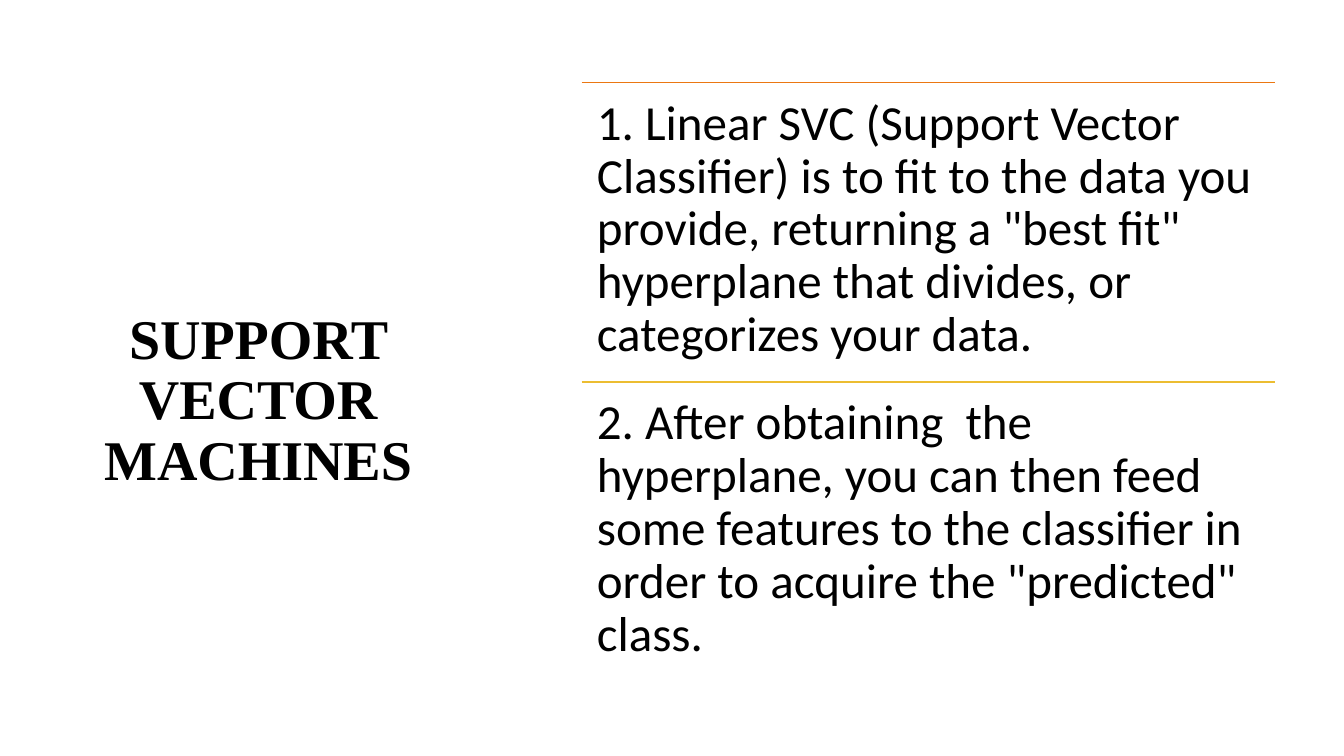
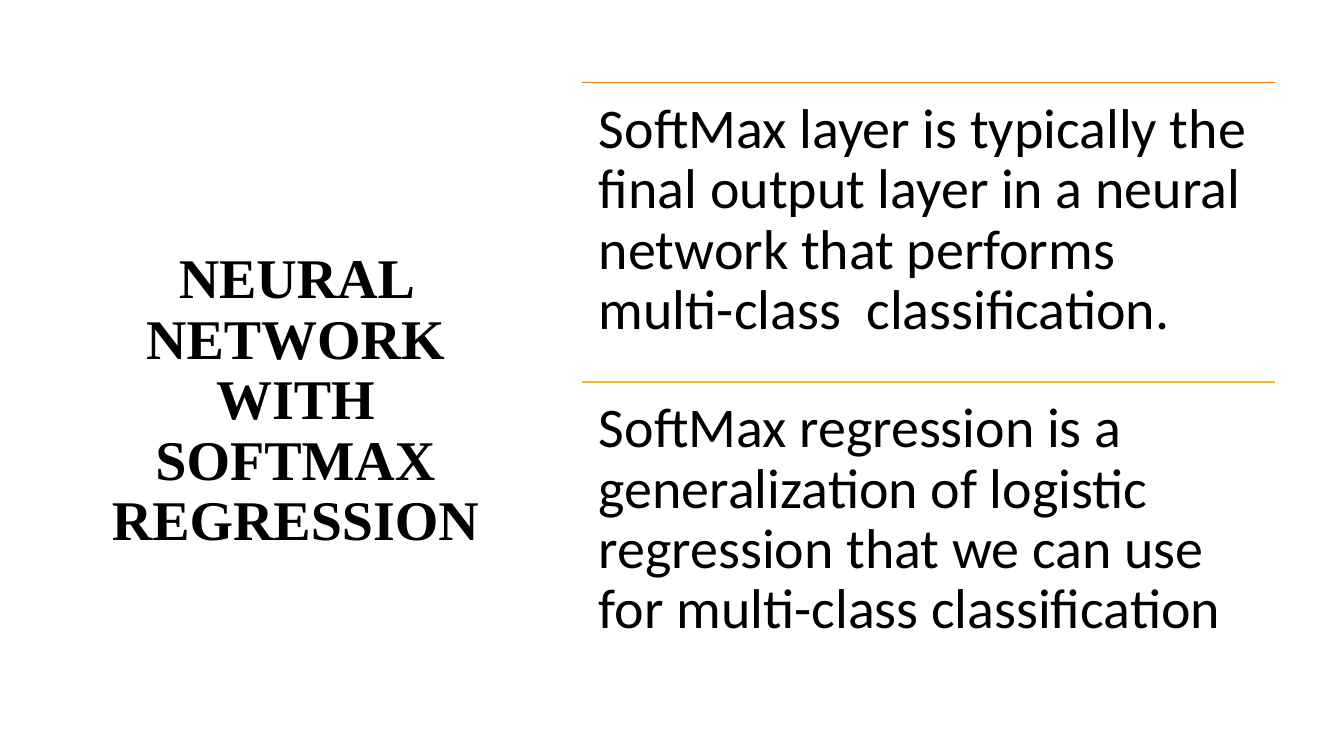
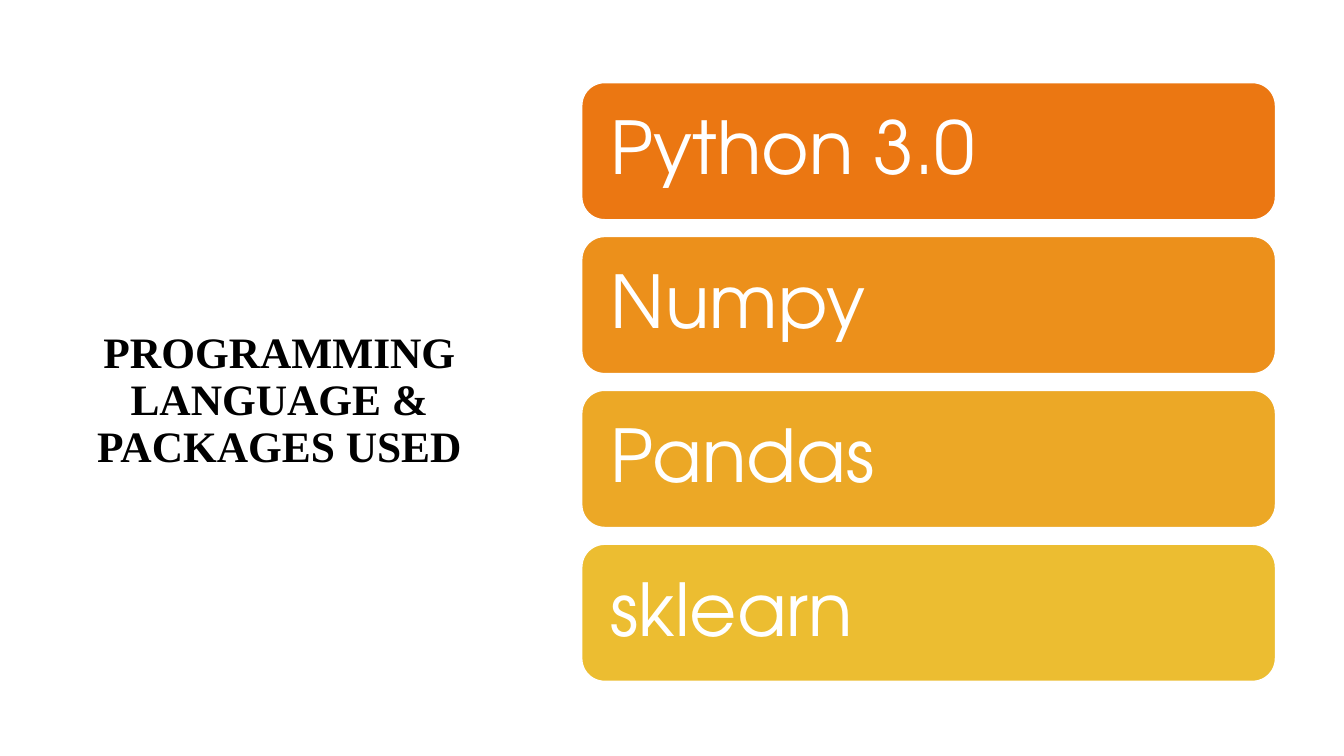
from dataclasses import dataclass

from lxml import etree
from pptx import Presentation
from pptx import util as u
from pptx.dml.color import RGBColor
from pptx.enum import shapes, text
from pptx.oxml.ns import qn


@dataclass(frozen=True)
class Theme:
    """Colours, fonts and type sizes shared by the slides."""
    ink: str = "000000"
    paper: str = "FFFFFF"
    accents: tuple = ("EB7712", "EC901B", "ECA826", "ECBD31")
    title_font: str = "Times New Roman"
    body_font: str = "Calibri"
    card_font: str = "TeX Gyre Adventor"
    title_size: int = 40
    long_title_size: int = 31
    card_size: int = 52
    line_width: int = 1
    line_spacing: float = 0.9


THEME = Theme()

# Right-hand column, in inches
LEFT, TOP, WIDTH, HEIGHT = 5.77, 0.82, 6.88, 5.94
CARD_HEIGHT = 1.36


def color(code):
    return RGBColor.from_string(code)


def write(shape, words, font, size, ink, bold=False, inset=None,
          align=text.PP_ALIGN.LEFT, anchor=text.MSO_ANCHOR.MIDDLE):
    """Put one formatted paragraph into a shape."""
    frame = shape.text_frame
    frame.word_wrap = True
    frame.vertical_anchor = anchor
    if inset is not None:
        frame.margin_left = frame.margin_right = u.Inches(inset)
        frame.margin_top = frame.margin_bottom = u.Inches(inset)
    paragraph = frame.paragraphs[0]
    paragraph.alignment = align
    paragraph.line_spacing = THEME.line_spacing
    run = paragraph.add_run()
    run.text = words
    run.font.name = font
    run.font.size = u.Pt(size)
    run.font.bold = bold
    run.font.color.rgb = color(ink)


def add_title(slide, words, width, size=THEME.title_size):
    """Bold centred heading in the left column."""
    box = slide.shapes.add_textbox(
        u.Inches(0.75), u.Inches(1.17), u.Inches(width), u.Inches(5.63))
    write(box, words, THEME.title_font, size, THEME.ink, bold=True,
          align=text.PP_ALIGN.CENTER)


def add_rule(slide, top, line_color):
    """Thin line across the right column."""
    rule = slide.shapes.add_connector(
        shapes.MSO_CONNECTOR.STRAIGHT, u.Inches(LEFT), u.Inches(top),
        u.Inches(LEFT + WIDTH), u.Inches(top))
    rule.line.color.rgb = color(line_color)
    rule.line.width = u.Pt(THEME.line_width)
    etree.SubElement(rule._element.spPr, qn("a:effectLst"))


def add_statements(slide, statements, size, inset):
    """Equal text rows, each under a coloured rule."""
    row_height = HEIGHT / len(statements)
    rule_colors = (THEME.accents[0], THEME.accents[-1])
    for index, (words, rule_color) in enumerate(zip(statements, rule_colors)):
        top = TOP + index * row_height
        add_rule(slide, top, rule_color)
        box = slide.shapes.add_textbox(
            u.Inches(LEFT), u.Inches(top), u.Inches(WIDTH), u.Inches(row_height))
        write(box, words, THEME.body_font, size, THEME.ink, inset=inset,
              anchor=text.MSO_ANCHOR.TOP)


def add_cards(slide, labels):
    """Rounded cards spread evenly down the right column."""
    pitch = (HEIGHT - CARD_HEIGHT) / (len(labels) - 1)
    for index, (label, fill) in enumerate(zip(labels, THEME.accents)):
        card = slide.shapes.add_shape(
            shapes.MSO_SHAPE.ROUNDED_RECTANGLE, u.Inches(LEFT),
            u.Inches(TOP + index * pitch), u.Inches(WIDTH), u.Inches(CARD_HEIGHT))
        card.shadow.inherit = False
        card.fill.solid()
        card.fill.fore_color.rgb = color(fill)
        card.line.color.rgb = color(THEME.paper)
        card.line.width = u.Pt(THEME.line_width)
        write(card, label, THEME.card_font, THEME.card_size, THEME.paper, inset=0.22)


def main():
    presentation = Presentation()
    presentation.slide_width = u.Inches(13.33)
    presentation.slide_height = u.Inches(7.5)
    blank = presentation.slide_layouts[6]

    # Support vector machines
    slide = presentation.slides.add_slide(blank)
    add_title(slide, "SUPPORT VECTOR MACHINES", 3.62)
    add_statements(slide, (
        '1. Linear SVC (Support Vector Classifier) is to fit to the data you '
        'provide, returning a "best fit" hyperplane that divides, or '
        'categorizes your data.',
        '2. After obtaining  the hyperplane, you can then feed some features '
        'to the classifier in order to acquire the "predicted" class.',
    ), size=35, inset=0.15)

    # Softmax regression
    slide = presentation.slides.add_slide(blank)
    add_title(slide, "NEURAL NETWORK WITH SOFTMAX REGRESSION", 4.36)
    add_statements(slide, (
        "SoftMax layer is typically the final output layer in a neural "
        "network that performs multi-class  classification.",
        "SoftMax regression is a generalization of logistic regression that "
        "we can use for multi-class classification",
    ), size=40, inset=0.17)

    # Language and packages
    slide = presentation.slides.add_slide(blank)
    add_title(slide, "PROGRAMMING LANGUAGE & PACKAGES USED", 4.04,
              THEME.long_title_size)
    add_cards(slide, ("Python 3.0", "Numpy", "Pandas", "sklearn"))

    presentation.save("out.pptx")


if __name__ == "__main__":
    main()
